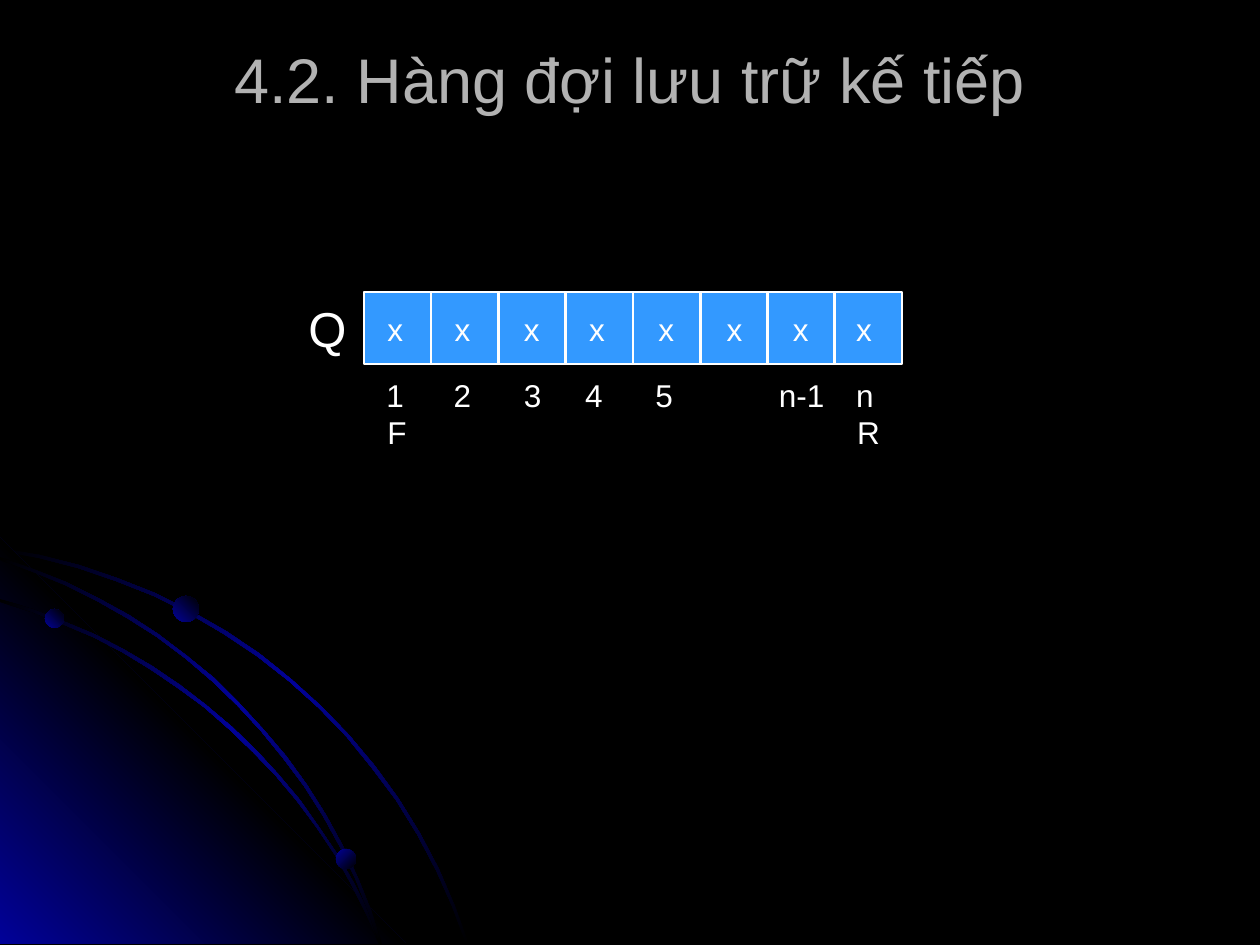
from copy import deepcopy
from math import atan2, cos, dist, sin, sqrt

from pptx import Presentation
from pptx import util as u
from pptx.dml.color import RGBColor
from pptx.enum import shapes, text
from pptx.oxml.ns import qn

PX = 914400 / 126
PAGE_WIDTH, PAGE_HEIGHT = 1260, 945

BLACK = RGBColor(0x00, 0x00, 0x00)
NAVY = RGBColor(0x01, 0x01, 0x99)
SKY = RGBColor(0x33, 0x99, 0xFF)
WHITE = RGBColor(0xFF, 0xFF, 0xFF)
GREY = RGBColor(0xB2, 0xB2, 0xB2)
FONT = "Arial"

TITLE = "4.2. Hàng đợi lưu trữ kế tiếp"
TITLE_AREA = (63, 38, 1134, 81)

# The queue is a row of equal cells
QUEUE_NAME = "Q"
QUEUE_NAME_LEFT, QUEUE_NAME_WIDTH = 296, 59
QUEUE_LEFT, QUEUE_TOP, QUEUE_WIDTH, QUEUE_HEIGHT = 364, 292, 538, 72
CELL_COUNT = 8
CELL_PITCH = QUEUE_WIDTH / CELL_COUNT

# Labels stand at LABEL_INSET from the left of their cell, plus a nudge.
# Each row: top, then (cell number, wording, nudge)
LABEL_INSET = 11
LABEL_WIDTH, WIDE_LABEL_WIDTH, LABEL_HEIGHT = 48, 81, 50
ELEMENT_NUDGES = (0, 0, 2, 0, 2, 3, 2, -2)
LABEL_ROWS = [
    (304, [(cell, "x", nudge) for cell, nudge in enumerate(ELEMENT_NUDGES)]),
    (370, [(0, "1", -1), (1, "2", -1), (2, "3", 2), (3, "4", -4), (4, "5", -1),
           (6, "n-1", -12), (7, "n", -2)]),
    (407, [(0, "F", 0), (7, "R", -1)]),
]

# Three orbits share one radius and run from the left edge to the bottom edge
ORBIT_RADIUS = 578
ORBIT_STROKE = 3
ORBIT_STEPS = 16
ORBIT_BOTTOM = PAGE_HEIGHT - 1
OUTER_ORBIT, MIDDLE_ORBIT, INNER_ORBIT = (548, 469), (557, 382), (599, 382)
CORNER_SIZE = 406

# Gradient directions, counter-clockwise
DOWN_RIGHT, UP_RIGHT = 315, 45
# Planets: left, top, diameter, gradient direction
PLANETS = [(45, 609, 19, UP_RIGHT), (336, 849, 20, DOWN_RIGHT),
           (173, 596, 26, UP_RIGHT)]


def px(*lengths):
    return [u.Emu(round(length * PX)) for length in lengths]


def arc_points(start, end):
    """Points on the clockwise arc of ORBIT_RADIUS that joins start to end."""
    (x1, y1), (x2, y2) = start, end
    chord = dist(start, end)
    depth = sqrt(ORBIT_RADIUS ** 2 - (chord / 2) ** 2)
    center_x = (x1 + x2) / 2 - (y2 - y1) / chord * depth
    center_y = (y1 + y2) / 2 + (x2 - x1) / chord * depth
    first = atan2(y1 - center_y, x1 - center_x)
    last = atan2(y2 - center_y, x2 - center_x)
    angles = [first + (last - first) * step / ORBIT_STEPS
              for step in range(ORBIT_STEPS + 1)]
    return [(center_x + ORBIT_RADIUS * cos(angle),
             center_y + ORBIT_RADIUS * sin(angle)) for angle in angles]


def paint_gradient(shape, colors, angle):
    """Fill with evenly spaced colour stops and remove line and shadow."""
    shape.shadow.inherit = False
    shape.line.fill.background()
    shape.fill.gradient()
    shape.fill.gradient_angle = angle
    stop_list = shape._element.spPr.find(qn("a:gradFill")).find(qn("a:gsLst"))
    for _ in colors[2:]:
        stop_list.append(deepcopy(stop_list[0]))
    for index, (stop, color) in enumerate(zip(shape.fill.gradient_stops, colors)):
        stop.position = index / (len(colors) - 1)
        stop.color.rgb = color


def add_polygon(page, points, colors, angle):
    builder = page.shapes.build_freeform(*points[0], scale=PX)
    builder.add_line_segments(points[1:], close=True)
    paint_gradient(builder.convert_to_shape(), colors, angle)


def add_orbit(page, orbit):
    """Draw a thin band between an upper arc and a lower arc."""
    left_y, bottom_x = orbit
    upper = arc_points((0, left_y), (bottom_x, ORBIT_BOTTOM))
    lower = arc_points((0, left_y + ORBIT_STROKE),
                       (bottom_x - ORBIT_STROKE, ORBIT_BOTTOM))
    add_polygon(page, upper + lower[::-1], (BLACK, NAVY, BLACK), DOWN_RIGHT)


def add_corner_glow(page):
    corner = [(CORNER_SIZE, ORBIT_BOTTOM), (0, ORBIT_BOTTOM),
              (0, ORBIT_BOTTOM - CORNER_SIZE)]
    add_polygon(page, corner, (NAVY, BLACK, NAVY), UP_RIGHT)


def add_backdrop(page):
    page.background.fill.solid()
    page.background.fill.fore_color.rgb = BLACK
    add_orbit(page, OUTER_ORBIT)
    add_corner_glow(page)
    for orbit in (INNER_ORBIT, MIDDLE_ORBIT):
        add_orbit(page, orbit)
    for left, top, size, angle in PLANETS:
        planet = page.shapes.add_shape(
            shapes.MSO_SHAPE.OVAL, *px(left, top, size, size))
        paint_gradient(planet, (NAVY, BLACK), angle)


def add_label(page, wording, area, size=18, color=WHITE):
    box = page.shapes.add_textbox(*px(*area))
    box.text_frame.text = wording
    font = box.text_frame.paragraphs[0].runs[0].font
    font.name, font.size, font.color.rgb = FONT, u.Pt(size), color
    return box


def add_title(page):
    frame = add_label(page, TITLE, TITLE_AREA, size=36, color=GREY).text_frame
    frame.word_wrap = True
    frame.vertical_anchor = text.MSO_ANCHOR.MIDDLE
    frame.paragraphs[0].alignment = text.PP_ALIGN.CENTER


def cell_left(cell):
    return QUEUE_LEFT + cell * CELL_PITCH


def add_queue(page):
    for cell in range(CELL_COUNT):
        area = (cell_left(cell), QUEUE_TOP, CELL_PITCH, QUEUE_HEIGHT)
        square = page.shapes.add_shape(shapes.MSO_SHAPE.RECTANGLE, *px(*area))
        square.shadow.inherit = False
        square.fill.solid()
        square.fill.fore_color.rgb = SKY
        square.line.color.rgb = WHITE
        square.line.width = u.Pt(1.5)
    name_area = (QUEUE_NAME_LEFT, QUEUE_TOP, QUEUE_NAME_WIDTH, QUEUE_HEIGHT)
    add_label(page, QUEUE_NAME, name_area, size=28)


def add_queue_labels(page):
    for top, labels in LABEL_ROWS:
        for cell, wording, nudge in labels:
            left = cell_left(cell) + LABEL_INSET + nudge
            width = LABEL_WIDTH if len(wording) == 1 else WIDE_LABEL_WIDTH
            add_label(page, wording, (left, top, width, LABEL_HEIGHT))


def main():
    deck = Presentation()
    deck.slide_width, deck.slide_height = px(PAGE_WIDTH, PAGE_HEIGHT)
    page = deck.slides.add_slide(deck.slide_layouts[6])
    add_backdrop(page)
    add_title(page)
    add_queue(page)
    add_queue_labels(page)
    deck.save("out.pptx")


if __name__ == "__main__":
    main()
